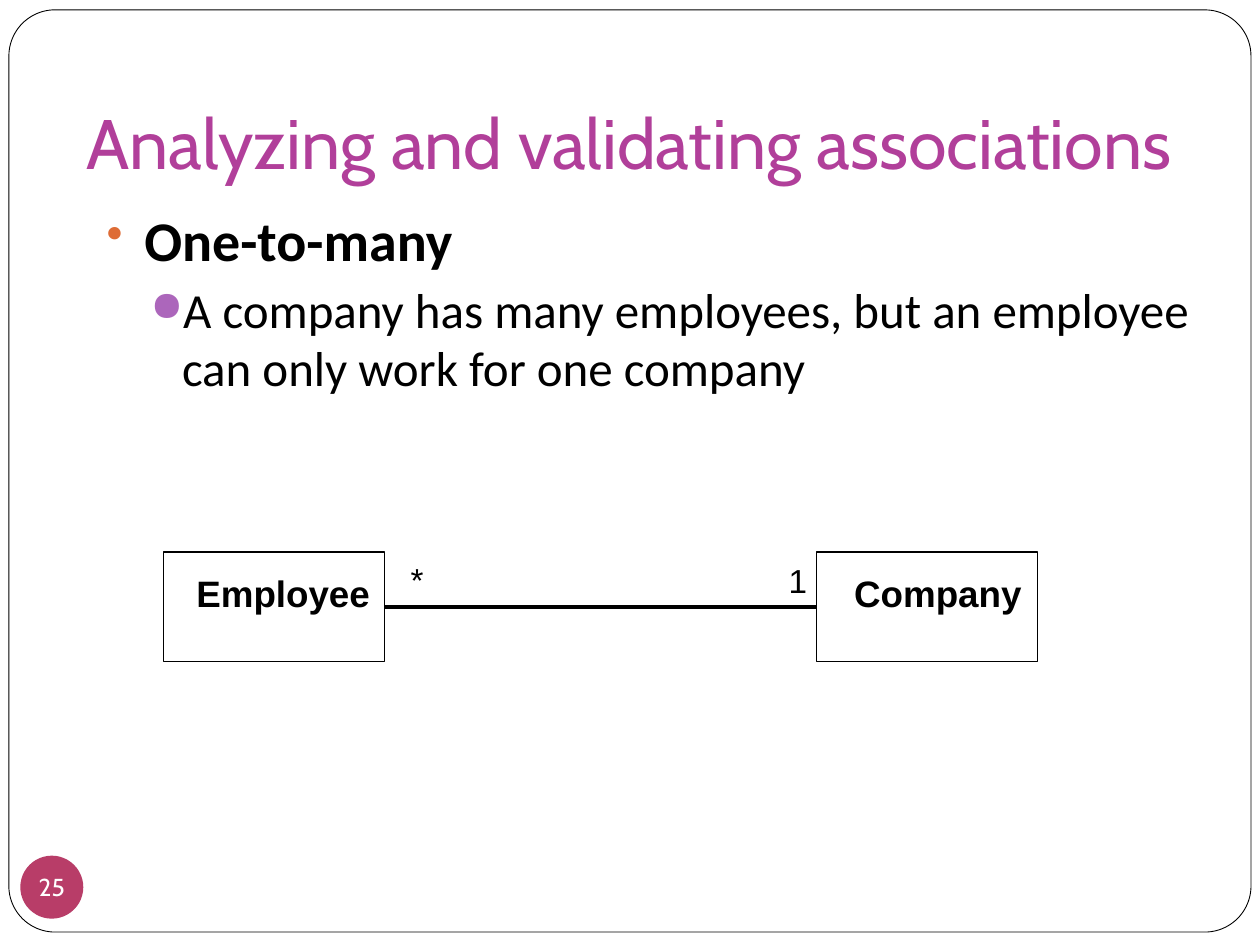
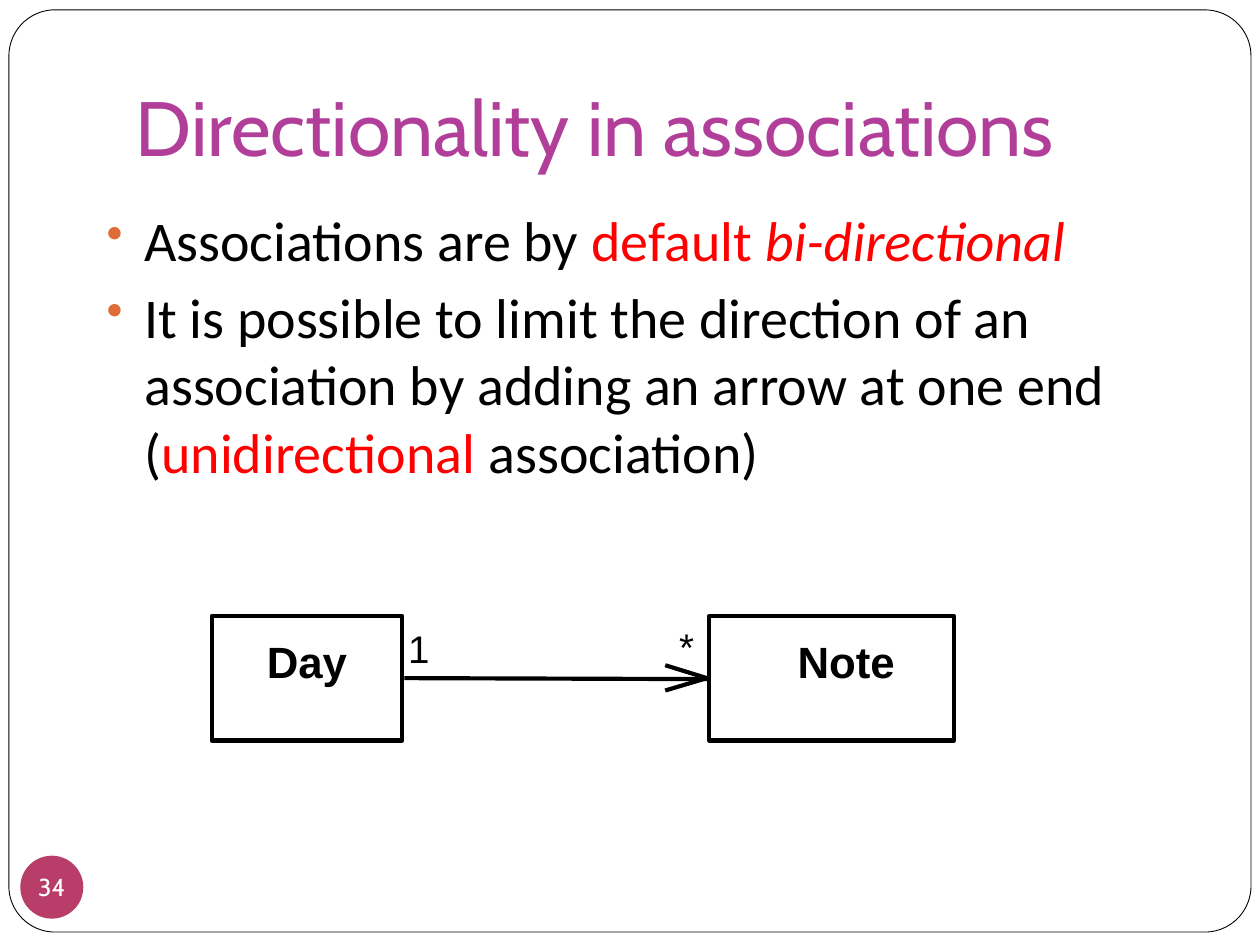
from dataclasses import dataclass

import lxml.etree
import pptx
import pptx.dml.color
import pptx.enum.shapes
import pptx.enum.text
import pptx.oxml.ns
import pptx.util

Cm = pptx.util.Cm
Pt = pptx.util.Pt
MSO_SHAPE = pptx.enum.shapes.MSO_SHAPE
qn = pptx.oxml.ns.qn

COLORS = {
    "black": "000000",
    "white": "FFFFFF",
    "red": "FF0000",
    "title": "B13F9A",
    "badge": "B83D68",
    "bullet": "DE6C36",
    "sub_bullet": "AC66BB",
}
HEADING_FONT, BODY_FONT, DIAGRAM_FONT = "Cabin", "Calibri", "Arial"


@dataclass(frozen=True)
class Box:
    """A rectangle in centimetres."""
    left: float
    top: float
    width: float
    height: float

    def lengths(self) -> tuple:
        return Cm(self.left), Cm(self.top), Cm(self.width), Cm(self.height)


@dataclass(frozen=True)
class Span:
    text: str
    color: str = "black"
    bold: bool = False
    italic: bool = False


@dataclass(frozen=True)
class BulletStyle:
    char: str
    color: str
    margin: float
    hang: float
    size: float
    space_before: float


@dataclass(frozen=True)
class Bullet:
    spans: tuple[Span, ...]
    level: int = 0


@dataclass(frozen=True)
class Label:
    text: str
    box: Box
    bold: bool = False


@dataclass(frozen=True)
class Line:
    x1: float
    y1: float
    x2: float
    y2: float


@dataclass(frozen=True)
class Diagram:
    line_width: float
    class_size: float
    multiplicity_size: float
    classes: tuple[Box, ...]
    labels: tuple[Label, ...]
    lines: tuple[Line, ...]


@dataclass(frozen=True)
class Page:
    number: int
    title: str
    title_box: Box
    title_size: float
    bullets: tuple[Bullet, ...]
    diagram: Diagram


FRAME = Box(0.18, 0.2, 25.04, 18.59)
BADGE = Box(0.41, 17.25, 1.27, 1.27)
BODY = Box(1.9, 4.01, 23.01, 14.5)
BULLET_STYLES = (
    BulletStyle("•", "bullet", 0.76, 0.76, 32, 5.8),
    BulletStyle("●", "sub_bullet", 1.52, 0.64, 28, 3.7),
)

PAGES = (
    Page(
        25, "Analyzing and validating associations",
        Box(1.5, 0.71, 22.63, 3.23), 40,
        (
            Bullet((Span("One-to-many", bold=True),)),
            Bullet((Span("A company has many employees, but an employee "
                         "can only work for one company"),), level=1),
        ),
        Diagram(
            0, 21, 19,
            classes=(Box(3.3, 11.13, 4.45, 2.21), Box(16.46, 11.13, 4.45, 2.21)),
            labels=(
                Label("Employee", Box(3.96, 11.51, 3.51, 0.89), bold=True),
                Label("Company", Box(17.22, 11.51, 3.38, 0.89), bold=True),
                Label("*", Box(8.28, 11.28, 0.25, 0.81)),
                Label("1", Box(15.9, 11.3, 0.38, 0.81)),
            ),
            lines=(Line(7.75, 12.24, 16.46, 12.24),),
        ),
    ),
    Page(
        34, "Directionality in associations",
        Box(2.49, 0.53, 21.59, 3.18), 44,
        (
            Bullet((Span("Associations are by "), Span("default ", "red"),
                    Span("bi-directional", "red", italic=True))),
            Bullet((Span("It is possible to limit the direction of an association "
                         "by adding an arrow at one end ("),
                    Span("unidirectional", "red"), Span(" association)"))),
        ),
        Diagram(
            2.38, 25, 22,
            classes=(Box(4.27, 12.42, 3.84, 2.51), Box(14.3, 12.42, 4.93, 2.51)),
            labels=(
                Label("Day", Box(5.38, 12.8, 1.63, 1.07), bold=True),
                Label("Note", Box(16.08, 12.8, 1.96, 1.07), bold=True),
                Label("1", Box(8.23, 12.6, 0.43, 0.94)),
                Label("*", Box(13.69, 12.55, 0.3, 0.94)),
            ),
            lines=(
                Line(8.15, 13.67, 14.25, 13.69),
                Line(13.41, 13.41, 14.25, 13.67),
                Line(14.25, 13.67, 13.41, 13.92),
            ),
        ),
    ),
)


def rgb(name: str) -> pptx.dml.color.RGBColor:
    return pptx.dml.color.RGBColor.from_string(COLORS[name])


def format_run(r, font: str, size: float, color: str,
               bold: bool = False, italic: bool = False) -> None:
    r.font.name = font
    r.font.size = Pt(size)
    r.font.bold = bold
    r.font.italic = italic
    r.font.color.rgb = rgb(color)


def set_margins(tf, left: float, top: float, right: float, bottom: float) -> None:
    tf.margin_left, tf.margin_top = Cm(left), Cm(top)
    tf.margin_right, tf.margin_bottom = Cm(right), Cm(bottom)


def add_panel(slide, kind, box: Box, fill: str | None = None,
              line: str | None = None, line_width: float = 0):
    """Draw a preset shape without shadow; None means no fill or no line."""
    sp = slide.shapes.add_shape(kind, *box.lengths())
    sp.shadow.inherit = False
    if fill:
        sp.fill.solid()
        sp.fill.fore_color.rgb = rgb(fill)
    else:
        sp.fill.background()
    if line:
        sp.line.color.rgb = rgb(line)
        sp.line.width = Pt(line_width)
    else:
        sp.line.fill.background()
    return sp


def add_frame(slide) -> None:
    sp = add_panel(slide, MSO_SHAPE.ROUNDED_RECTANGLE, FRAME, "white", "black", 0.5)
    sp.adjustments[0] = 0.05


def add_badge(slide, number: int) -> None:
    tf = add_panel(slide, MSO_SHAPE.OVAL, BADGE, "badge").text_frame
    set_margins(tf, 0, 0, 0, 0)
    tf.word_wrap = False
    tf.vertical_anchor = pptx.enum.text.MSO_ANCHOR.MIDDLE
    tf.text = str(number)
    p = tf.paragraphs[0]
    p.alignment = pptx.enum.text.PP_ALIGN.CENTER
    format_run(p.runs[0], HEADING_FONT, 14, "white")


def add_title(slide, page: Page) -> None:
    tf = slide.shapes.add_textbox(*page.title_box.lengths()).text_frame
    set_margins(tf, 0.25, 0.13, 0.25, 0.25)
    tf.word_wrap = True
    tf.vertical_anchor = pptx.enum.text.MSO_ANCHOR.BOTTOM
    tf.text = page.title
    format_run(tf.paragraphs[0].runs[0], HEADING_FONT, page.title_size, "title")


def set_bullet(p, style: BulletStyle) -> None:
    pPr = p._p.get_or_add_pPr()
    pPr.set("marL", str(Cm(style.margin)))
    pPr.set("indent", str(-Cm(style.hang)))
    color = lxml.etree.SubElement(pPr, qn("a:buClr"))
    lxml.etree.SubElement(color, qn("a:srgbClr"), val=COLORS[style.color])
    lxml.etree.SubElement(pPr, qn("a:buSzPct"), val="85000")
    lxml.etree.SubElement(pPr, qn("a:buChar"), char=style.char)


def add_body(slide, bullets: tuple[Bullet, ...]) -> None:
    tf = slide.shapes.add_textbox(*BODY.lengths()).text_frame
    set_margins(tf, 0.25, 0.13, 0.25, 0.13)
    tf.word_wrap = True
    for i, bullet in enumerate(bullets):
        style = BULLET_STYLES[bullet.level]
        p = tf.add_paragraph() if i else tf.paragraphs[0]
        p.level = bullet.level
        set_bullet(p, style)
        p.space_before = Pt(style.space_before if i else 0)
        for span in bullet.spans:
            r = p.add_run()
            r.text = span.text
            format_run(r, BODY_FONT, style.size, span.color, span.bold, span.italic)


def add_label(slide, label: Label, size: float) -> None:
    tf = slide.shapes.add_textbox(*label.box.lengths()).text_frame
    set_margins(tf, 0, 0, 0, 0)
    tf.word_wrap = False
    tf.text = label.text
    format_run(tf.paragraphs[0].runs[0], DIAGRAM_FONT, size, "black", label.bold)


def add_line(slide, line: Line, width: float) -> None:
    cxn = slide.shapes.add_connector(
        pptx.enum.shapes.MSO_CONNECTOR.STRAIGHT,
        Cm(line.x1), Cm(line.y1), Cm(line.x2), Cm(line.y2))
    cxn.line.color.rgb = rgb("black")
    cxn.line.width = Pt(width)
    lxml.etree.SubElement(cxn._element.spPr, qn("a:effectLst"))


def add_diagram(slide, diagram: Diagram) -> None:
    for line in diagram.lines:
        add_line(slide, line, diagram.line_width)
    for box in diagram.classes:
        add_panel(slide, MSO_SHAPE.RECTANGLE, box,
                  line="black", line_width=diagram.line_width)
    for label in diagram.labels:
        size = diagram.class_size if label.bold else diagram.multiplicity_size
        add_label(slide, label, size)


def main() -> None:
    prs = pptx.Presentation()
    prs.slide_width, prs.slide_height = Cm(25.4), Cm(19.05)
    for page in PAGES:
        slide = prs.slides.add_slide(prs.slide_layouts[6])
        add_frame(slide)
        add_badge(slide, page.number)
        add_title(slide, page)
        add_body(slide, page.bullets)
        add_diagram(slide, page.diagram)
    prs.save("out.pptx")


if __name__ == "__main__":
    main()
